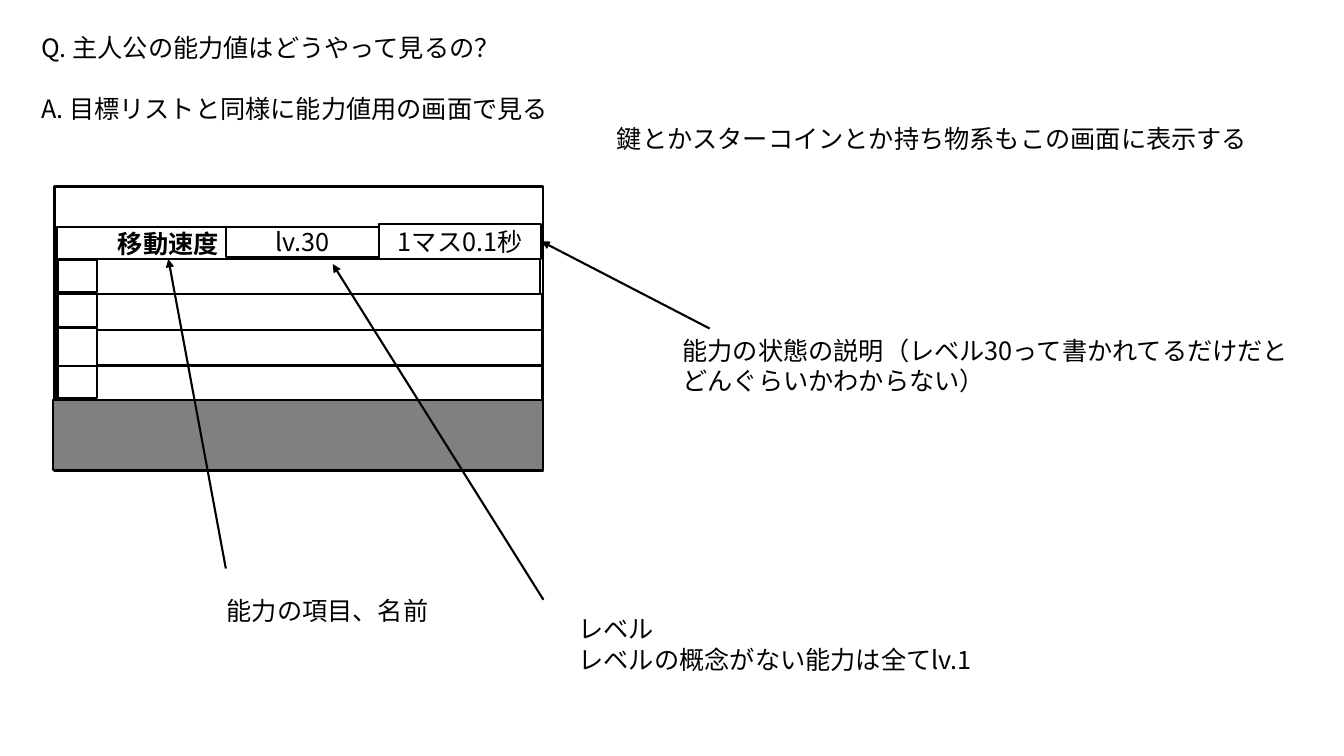
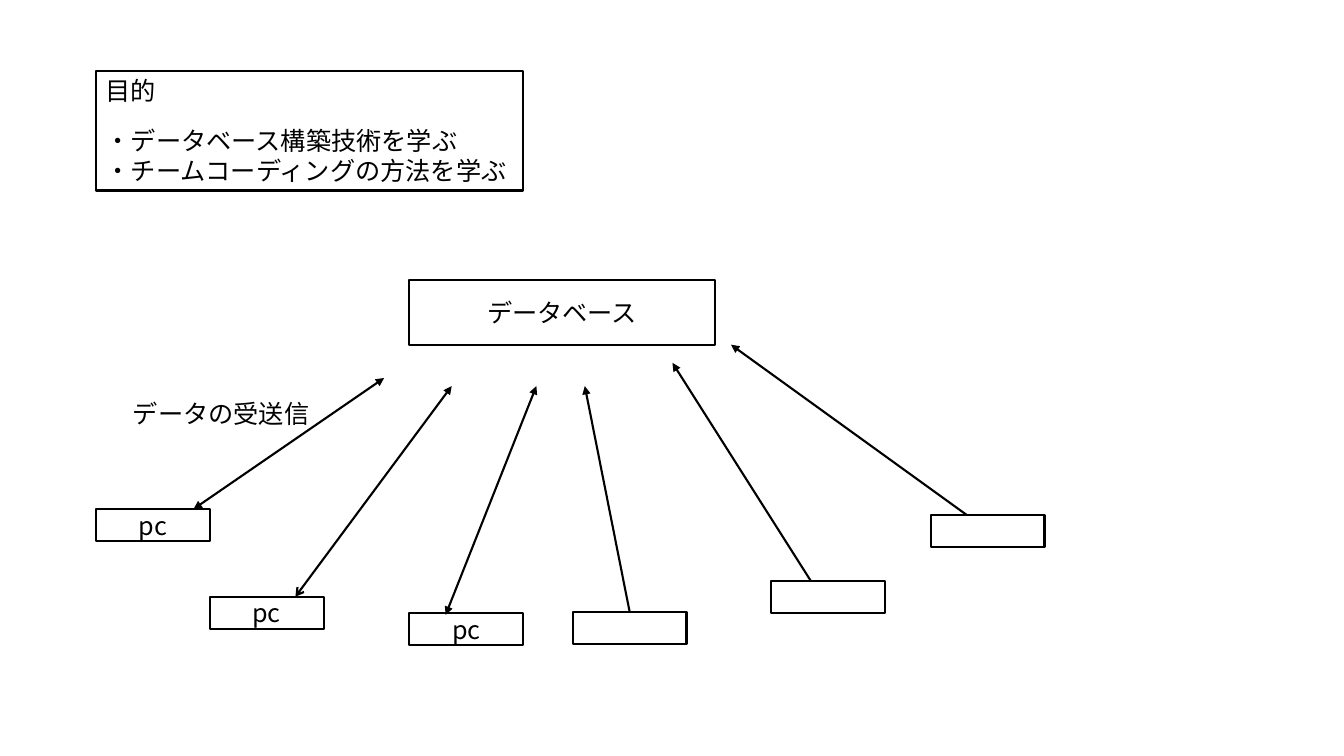
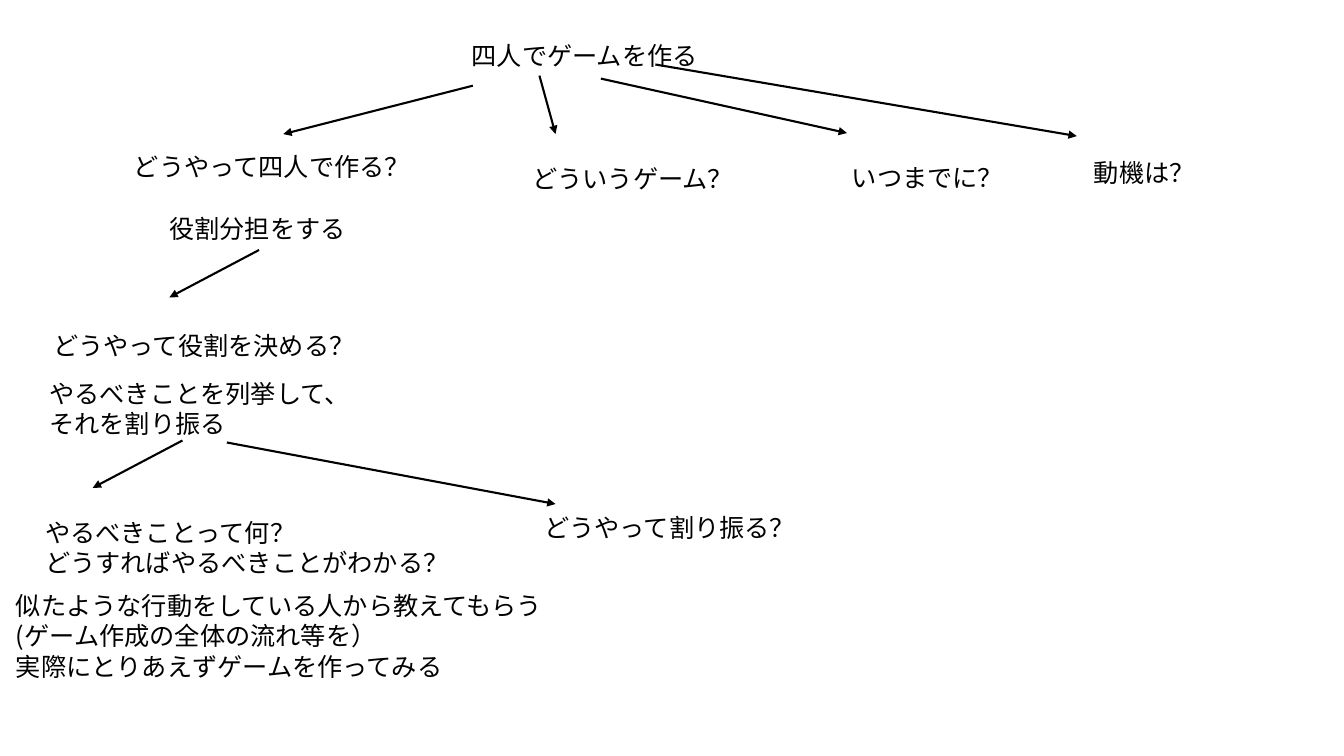
"""Build three planning slides: an ability screen, a database sketch and a question tree."""
from lxml import etree
from pptx import Presentation
from pptx.dml.color import RGBColor
from pptx.enum.shapes import MSO_CONNECTOR, MSO_SHAPE
from pptx.enum.text import MSO_ANCHOR, MSO_AUTO_SIZE, PP_ALIGN
from pptx.oxml.ns import qn
from pptx.util import Inches, Pt

RECTANGLE, STRAIGHT = MSO_SHAPE.RECTANGLE, MSO_CONNECTOR.STRAIGHT
LEFT, CENTER = PP_ALIGN.LEFT, PP_ALIGN.CENTER
MIDDLE, GROW = MSO_ANCHOR.MIDDLE, MSO_AUTO_SIZE.SHAPE_TO_FIT_TEXT
FONT, SIZE, LINE_WIDTH = "Noto Sans CJK JP", Pt(18), Pt(1.5)
BLACK, WHITE, GRAY = "000000", "FFFFFF", "808080"
JOIN_DISTANCE = Inches(0.03)


def paint(color_format, color):
    """Apply a hex colour to a fill or a font colour."""
    color_format.rgb = RGBColor.from_string(color)


def write(frame, lines, align, bold=False, gap=0):
    """Write lines as paragraphs in the shared text style."""
    frame.text = "\n".join(lines)
    for para in frame.paragraphs:
        para.alignment = align
        para.space_after = Pt(gap)
        para.font.name = FONT
        para.font.size = SIZE
        para.font.bold = bold
        paint(para.font.color, BLACK)
        defaults = para._p.pPr.find(qn("a:defRPr"))
        etree.SubElement(defaults, qn("a:ea"), typeface=FONT)


screen_rows = [(0.55, 2.57), (0.57, 2.92), (0.57, 3.27), (0.57, 3.63)]
row_icons = [(2.58, 0.32), (2.92, 0.32), (3.25, 0.39), (3.63, 0.32)]
ability_boxes = [
    (0.54, 1.85, 4.85, 2.82, "", WHITE, False),
    *[(left, top, 4.81, 0.35, "", WHITE, False) for left, top in screen_rows],
    (0.53, 3.97, 4.86, 0.69, "", GRAY, False),
    *[(0.57, top, 0.39, height, "", WHITE, False) for top, height in row_icons],
    (0.57, 2.25, 2.2, 0.32, "移動速度", WHITE, True),
    (2.24, 2.25, 1.52, 0.3, "lv.30", WHITE, False),
    (3.76, 2.22, 1.61, 0.35, "1マス0.1秒", WHITE, False),
]
ability_labels = [
    (0.31, 0.27, 5.3, 22, ["Q. 主人公の能力値はどうやって見るの？", "A. 目標リストと同様に能力値用の画面で見る"]),
    (2.15, 5.86, 2.22, 0, ["能力の項目、名前"]),
    (5.64, 6.04, 4.13, 0, ["レベル", "レベルの概念がない能力は全てlv.1"]),
    (6.67, 3.28, 6.51, 0, ["能力の状態の説明（レベル30って書かれてるだけだと", "どんぐらいかわからない）"]),
    (6.02, 1.17, 6.51, 0, ["鍵とかスターコインとか持ち物系もこの画面に表示する"]),
]
ability_arrows = [
    (2.24, 5.64, 1.67, 2.57, None),
    (5.39, 5.95, 3.3, 2.62, None),
    (7.04, 3.26, 5.38, 2.4, None),
]

computers = [(0.95, 5.05, "pc"), (2.08, 5.92, "pc"), (4.06, 6.08, "pc"),
             (5.68, 6.07, ""), (7.65, 5.76, ""), (9.23, 5.11, "")]
database_boxes = [
    (0.95, 0.7, 4.24, 1.19, "", WHITE, False),
    *[(left, top, 1.13, 0.32, name, WHITE, False) for left, top, name in computers],
    (4.06, 2.78, 3.03, 0.64, "データベース", WHITE, False),
]
database_labels = [
    (0.95, 0.7, 0.71, 0, ["目的"]),
    (0.95, 1.19, 4.24, 0, ["・データベース構築技術を学ぶ", "・チームコーディングの方法を学ぶ"]),
    (1.22, 3.9, 1.97, 0, ["データの受送信"]),
]
database_arrows = [
    (1.92, 5.05, 3.81, 3.75, "triangle"),
    (2.93, 5.92, 4.48, 3.83, "arrow"),
    (4.42, 6.1, 5.32, 3.83, "triangle"),
    (6.26, 6.08, 5.8, 3.83, None),
    (8.04, 5.76, 6.67, 3.6, None),
    (9.59, 5.11, 7.25, 3.42, None),
]

question_labels = [
    (4.58, 0.35, 2.57, 0, ["四人でゲームを作る"]),
    (1.23, 1.45, 2.98, 0, ["どうやって四人で作る？"]),
    (1.58, 2.07, 1.97, 0, ["役割分担をする"]),
    (0.43, 3.23, 3.23, 0, ["どうやって役割を決める？"]),
    (0.39, 3.7, 3.23, 0, ["やるべきことを列挙して、", "それを割り振る"]),
    (0.35, 5.08, 4.24, 0, ["やるべきことって何？", "どうすればやるべきことがわかる？"]),
    (5.3, 5.03, 2.73, 0, ["どうやって割り振る？"]),
    (5.18, 1.57, 2.22, 0, ["どういうゲーム？"]),
    (8.35, 1.56, 1.72, 0, ["いつまでに？"]),
    (10.75, 1.51, 1.21, 0, ["動機は？"]),
    (0.06, 5.81, 5.5, 0, ["似たような行動をしている人から教えてもらう", "(ゲーム作成の全体の流れ等を）",
                          "実際にとりあえずゲームを作ってみる"]),
]
question_arrows = [
    (4.69, 0.85, 2.81, 1.33, None),
    (2.57, 2.48, 1.68, 2.95, None),
    (1.81, 4.37, 0.92, 4.84, None),
    (2.25, 4.39, 5.51, 5, None),
    (5.96, 0.78, 8.4, 1.32, None),
    (5.35, 0.75, 5.51, 1.33, None),
    (6.5, 0.64, 10.68, 1.35, None),
]

deck = Presentation()
deck.slide_width, deck.slide_height = Inches(13.33), Inches(7.5)

for boxes, labels, arrows in [
    (ability_boxes, ability_labels, ability_arrows),
    (database_boxes, database_labels, database_arrows),
    ([], question_labels, question_arrows),
]:
    page = deck.slides.add_slide(deck.slide_layouts[6])
    sites = []
    for left, top, width, height, text, fill, bold in boxes:
        box = page.shapes.add_shape(RECTANGLE, Inches(left), Inches(top), Inches(width), Inches(height))
        box.shadow.inherit = False
        box.fill.solid()
        paint(box.fill.fore_color, fill)
        paint(box.line.color, BLACK)
        box.line.width = LINE_WIDTH
        if text:
            box.text_frame.vertical_anchor = MIDDLE
            box.text_frame.word_wrap = False
            write(box.text_frame, [text], CENTER, bold)
        center_x, center_y = box.left + box.width // 2, box.top + box.height // 2
        sites += [
            (box, 0, center_x, box.top),
            (box, 1, box.left, center_y),
            (box, 2, center_x, box.top + box.height),
            (box, 3, box.left + box.width, center_y),
        ]

    for start_x, start_y, end_x, end_y, head in arrows:
        arrow = page.shapes.add_connector(STRAIGHT, Inches(start_x), Inches(start_y), Inches(end_x), Inches(end_y))
        paint(arrow.line.color, BLACK)
        arrow.line.width = LINE_WIDTH
        outline = arrow.line._get_or_add_ln()
        if head:
            etree.SubElement(outline, qn("a:headEnd"), type=head)
        etree.SubElement(outline, qn("a:tailEnd"), type="triangle")
        etree.SubElement(arrow._element.spPr, qn("a:effectLst"))
        for x, y, connect in [
            (arrow.begin_x, arrow.begin_y, arrow.begin_connect),
            (arrow.end_x, arrow.end_y, arrow.end_connect),
        ]:
            for box, side, site_x, site_y in sites:
                if max(abs(x - site_x), abs(y - site_y)) < JOIN_DISTANCE:
                    connect(box, side)

    for left, top, width, gap, lines in labels:
        height = 0.1 + 0.3 * len(lines) + gap / 72
        label = page.shapes.add_textbox(Inches(left), Inches(top), Inches(width), Inches(height))
        label.text_frame.word_wrap = True
        label.text_frame.auto_size = GROW
        write(label.text_frame, lines, LEFT, gap=gap)

deck.save("out.pptx")
